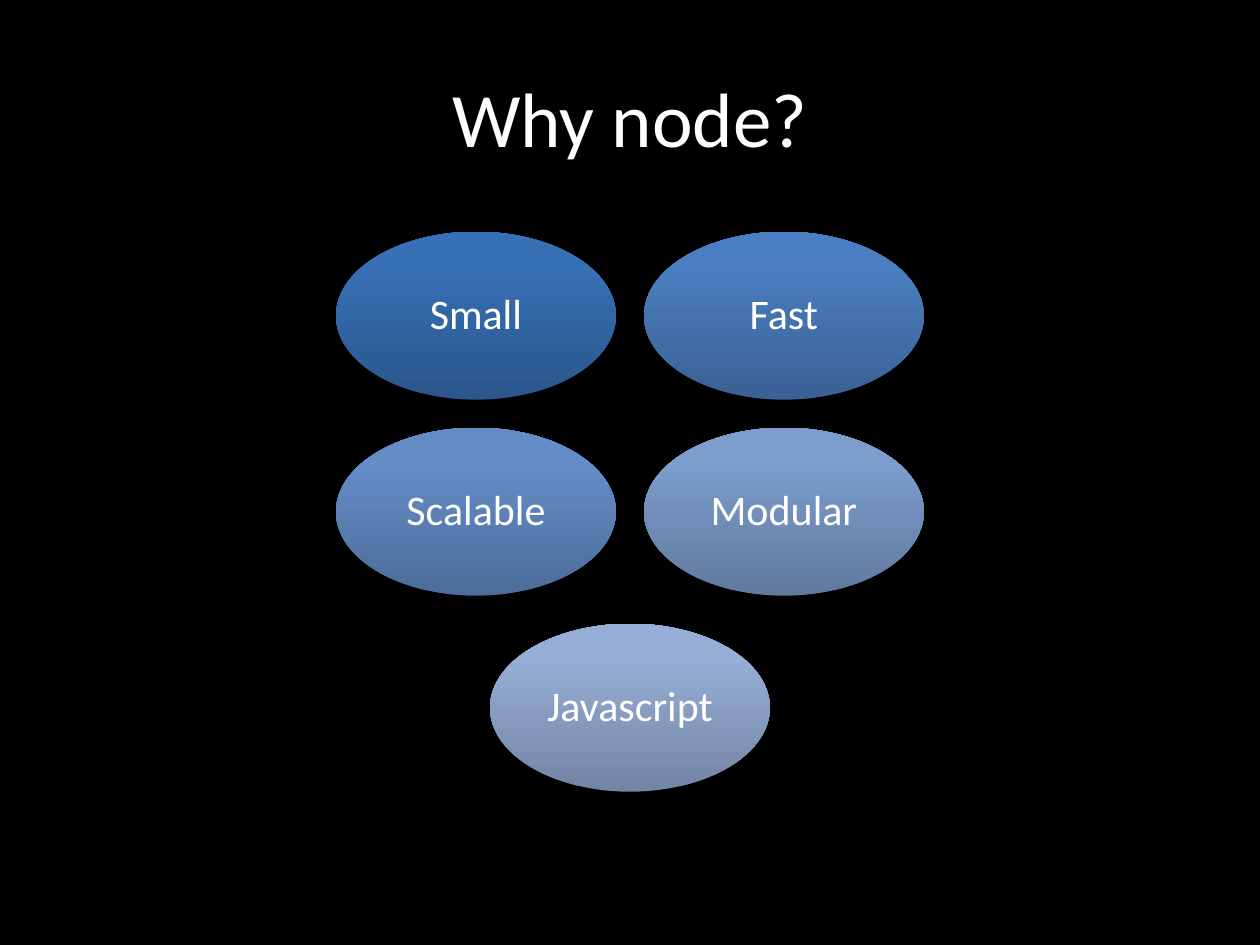
from copy import deepcopy
from dataclasses import dataclass

from pptx import Presentation
from pptx.dml.color import RGBColor
from pptx.enum.shapes import MSO_SHAPE
from pptx.enum.text import MSO_ANCHOR, PP_ALIGN
from pptx.oxml.ns import qn
from pptx.util import Pt

SLIDE_WIDTH, SLIDE_HEIGHT = 720, 540
OVAL_WIDTH, OVAL_HEIGHT, GAP = 160, 96, 16
FIRST_ROW_TOP = 132.4
STOP_POSITIONS = (0, 0.8, 1)


@dataclass
class Reason:
    label: str
    shades: tuple[str, str, str]  # from bottom to top


REASON_ROWS = [
    [Reason("Small", ("2A568B", "3770B5", "3570B8")),
     Reason("Fast", ("3A6194", "4B7EC1", "497EC4"))],
    [Reason("Scalable", ("4D6C99", "648DC7", "638DCA")),
     Reason("Modular", ("60799E", "7D9DCD", "7C9DD0"))],
    [Reason("Javascript", ("7385A4", "96ADD5", "95ADD7"))],
]


def rgb(code: str) -> RGBColor:
    return RGBColor.from_string(code)


def write(shape, text: str, *, size: float, color: str = "FFFFFF",
          font: str = "Calibri", inset: float = 7.2,
          line_spacing: float = 1.0) -> None:
    frame = shape.text_frame
    frame.word_wrap = True
    frame.vertical_anchor = MSO_ANCHOR.MIDDLE
    frame.margin_left = frame.margin_right = Pt(7.2)
    frame.margin_top = frame.margin_bottom = Pt(inset)
    paragraph = frame.paragraphs[0]
    paragraph.alignment = PP_ALIGN.CENTER
    paragraph.line_spacing = line_spacing
    run = paragraph.add_run()
    run.text = text
    run.font.size = Pt(size)
    run.font.name = font
    run.font.color.rgb = rgb(color)


def shade(shape, colors: tuple[str, str, str]) -> None:
    shape.fill.gradient()
    shape.fill.gradient_angle = 90
    # The default gradient has two stops; a third is needed
    stop_list = shape._element.spPr.find(".//" + qn("a:gsLst"))
    stop_list.append(deepcopy(stop_list[-1]))
    for stop, position, color in zip(shape.fill.gradient_stops,
                                     STOP_POSITIONS, colors):
        stop.position = position
        stop.color.rgb = rgb(color)


def draw_reason(slide, reason: Reason, left: float, top: float) -> None:
    oval = slide.shapes.add_shape(MSO_SHAPE.OVAL, Pt(left), Pt(top),
                                  Pt(OVAL_WIDTH), Pt(OVAL_HEIGHT))
    oval.shadow.inherit = False
    oval.line.fill.background()
    shade(oval, reason.shades)
    write(oval, reason.label, size=24, inset=7.2, line_spacing=0.9)


def main() -> None:
    presentation = Presentation()
    presentation.slide_width = Pt(SLIDE_WIDTH)
    presentation.slide_height = Pt(SLIDE_HEIGHT)
    slide = presentation.slides.add_slide(presentation.slide_layouts[6])
    slide.background.fill.solid()
    slide.background.fill.fore_color.rgb = rgb("000000")

    # Title
    title = slide.shapes.add_textbox(Pt(36), Pt(21.6), Pt(648), Pt(90))
    title.fill.solid()
    title.fill.fore_color.rgb = rgb("000000")
    write(title, "Why node?", size=44, inset=3.6)

    # Reasons, each row centred on the slide
    for row, reasons in enumerate(REASON_ROWS):
        row_width = len(reasons) * (OVAL_WIDTH + GAP) - GAP
        row_left = (SLIDE_WIDTH - row_width) / 2
        top = FIRST_ROW_TOP + row * (OVAL_HEIGHT + GAP)
        for column, reason in enumerate(reasons):
            draw_reason(slide, reason,
                        row_left + column * (OVAL_WIDTH + GAP), top)

    presentation.save("out.pptx")


if __name__ == "__main__":
    main()
